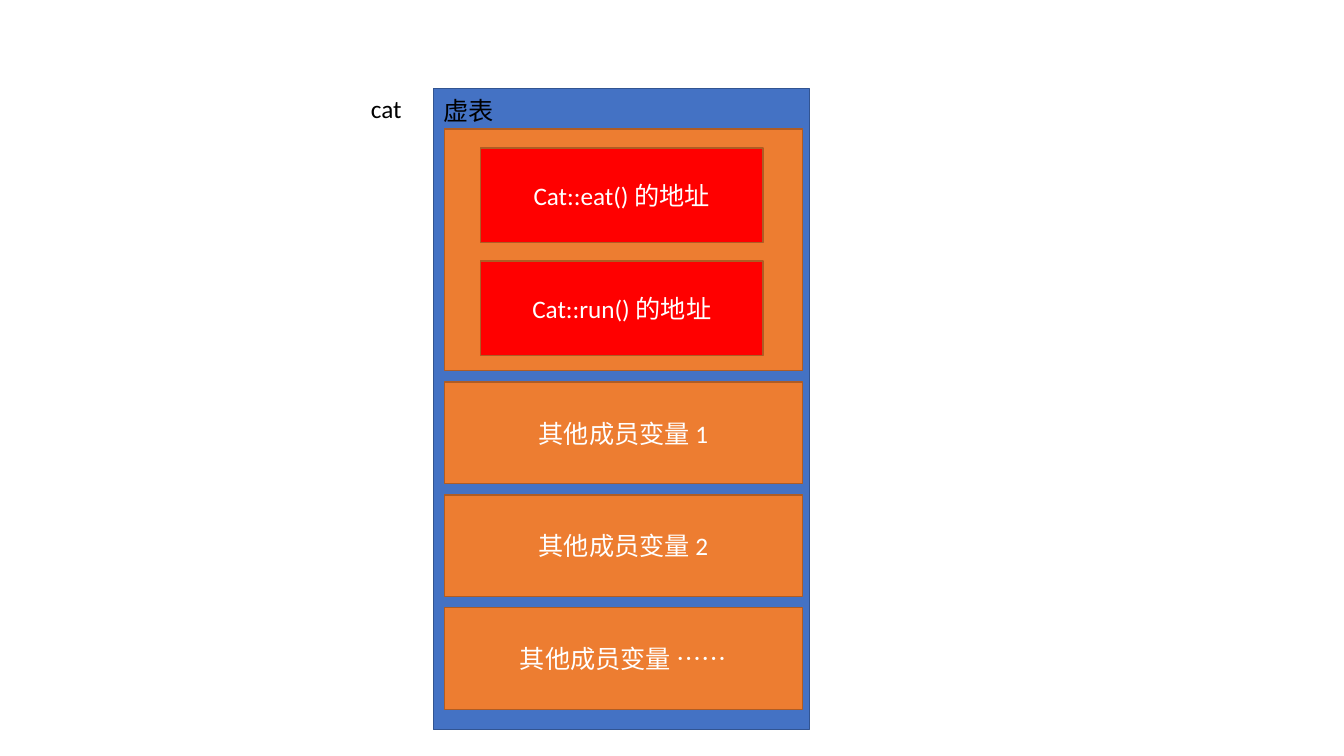
from dataclasses import dataclass

from pptx import Presentation
from pptx.dml.color import RGBColor
from pptx.enum.shapes import MSO_SHAPE
from pptx.enum.text import MSO_ANCHOR, MSO_AUTO_SIZE, PP_ALIGN
from pptx.util import Pt

RECT = MSO_SHAPE.RECTANGLE
MIDDLE = MSO_ANCHOR.MIDDLE
GROW = MSO_AUTO_SIZE.SHAPE_TO_FIT_TEXT
LEFT, CENTER = PP_ALIGN.LEFT, PP_ALIGN.CENTER
BLANK_LAYOUT = 6


@dataclass(frozen=True)
class Theme:
    font: str = "Calibri"
    size: float = 18
    line_width: float = 1
    dark: str = "000000"
    light: str = "FFFFFF"
    blue: str = "4472C4"
    blue_line: str = "325491"
    orange: str = "ED7D31"
    orange_line: str = "AF5C24"
    red: str = "FF0000"


def write_text(tf, text, *, font, size, color, align=LEFT):
    p = tf.paragraphs[0]
    p.alignment = align
    r = p.add_run()
    r.text = text
    r.font.name = font
    r.font.size = Pt(size)
    r.font.color.rgb = RGBColor.from_string(color)


class Builder:
    def __init__(self, slide, theme):
        self.slide = slide
        self.theme = theme

    def box(self, x, y, w, h, fill, line, text=""):
        sp = self.slide.shapes.add_shape(RECT, Pt(x), Pt(y), Pt(w), Pt(h))
        sp.shadow.inherit = False
        sp.fill.solid()
        sp.fill.fore_color.rgb = RGBColor.from_string(fill)
        sp.line.color.rgb = RGBColor.from_string(line)
        sp.line.width = Pt(self.theme.line_width)
        if text:
            tf = sp.text_frame
            tf.vertical_anchor = MIDDLE
            write_text(tf, text, font=self.theme.font, size=self.theme.size,
                       color=self.theme.light, align=CENTER)

    def label(self, x, y, w, h, text):
        sp = self.slide.shapes.add_textbox(Pt(x), Pt(y), Pt(w), Pt(h))
        tf = sp.text_frame
        tf.word_wrap = False
        tf.auto_size = GROW
        write_text(tf, text, font=self.theme.font, size=self.theme.size,
                   color=self.theme.dark)


def main():
    prs = Presentation()
    prs.slide_width, prs.slide_height = Pt(960), Pt(540)
    theme = Theme()
    b = Builder(prs.slides.add_slide(prs.slide_layouts[BLANK_LAYOUT]), theme)

    b.box(309.6, 63.4, 268.6, 457.9, theme.blue, theme.blue_line)
    b.label(257.8, 63.4, 36.7, 28.8, "cat")
    b.label(309.6, 64.5, 51.1, 28.8, "虚表")

    b.box(317.5, 92.2, 255.6, 172.4, theme.orange, theme.orange_line)
    row_step = 80.6
    for i, method in enumerate(("eat", "run")):
        b.box(343.4, 105.8 + i * row_step, 201.6, 67.5, theme.red,
              theme.orange_line, f"Cat::{method}() 的地址")
    for i, member in enumerate(("1", "2", "……")):
        b.box(317.5, 272.9 + i * row_step, 255.6, 72.7, theme.orange,
              theme.orange_line, f"其他成员变量 {member}")

    prs.save("out.pptx")


main()
